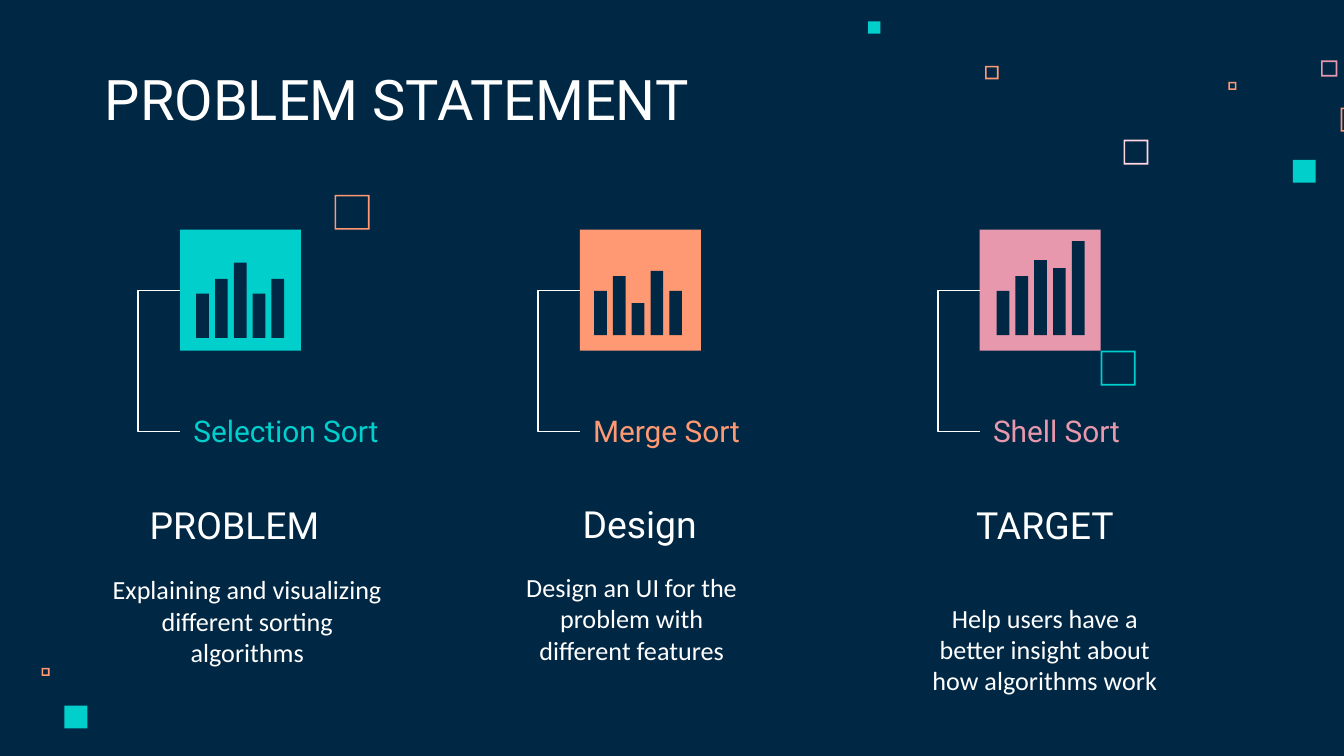
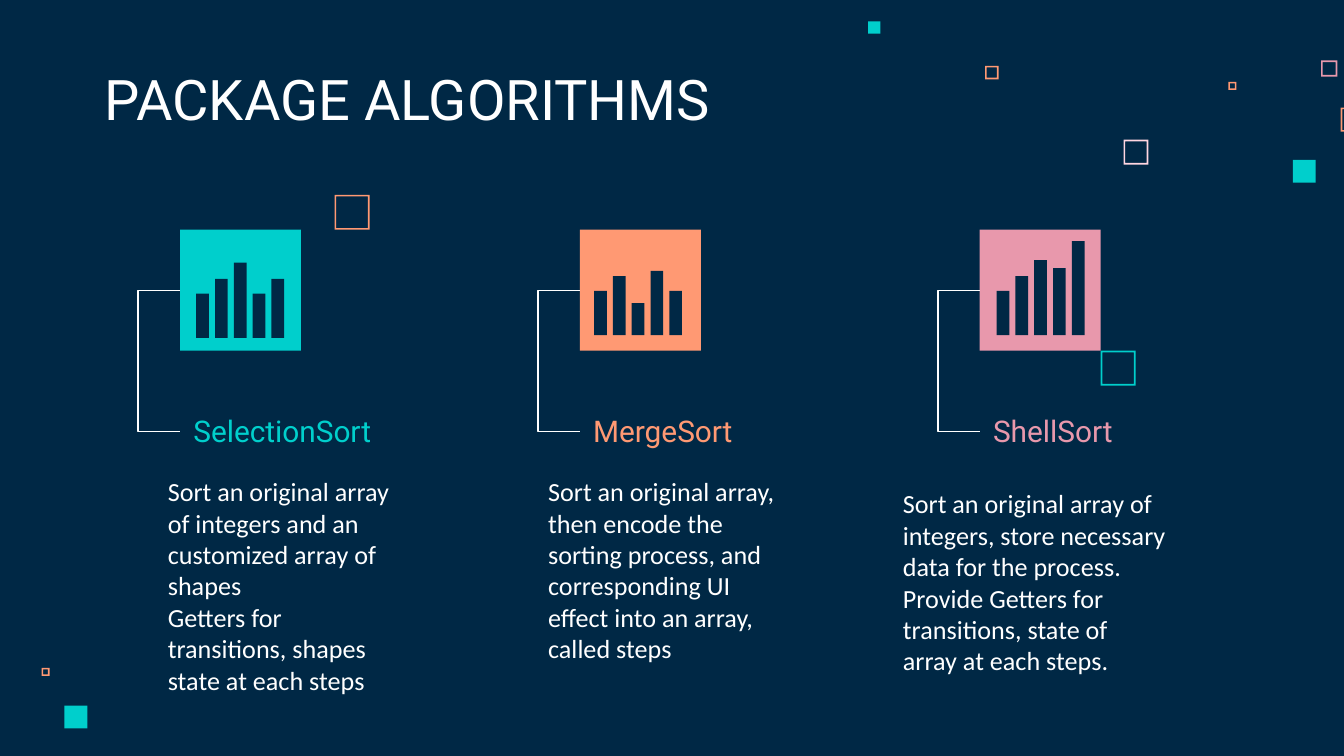
"""Two dark slides that compare three sorting algorithms in columns."""
from lxml import etree
from pptx import Presentation
from pptx.dml.color import RGBColor
from pptx.enum.shapes import MSO_CONNECTOR as CONN, MSO_SHAPE as SHAPE
from pptx.enum.text import MSO_ANCHOR as ANCHOR, MSO_AUTO_SIZE as AUTO, PP_ALIGN as ALIGN
from pptx.oxml.ns import qn
from pptx.util import Emu, Inches, Pt

COLORS = {
    "navy": "002845", "white": "FFFFFF", "teal": "00CFCC",
    "orange": "FF9973", "pink": "E898AC", "blush": "FFD6E1",
}
COLS, ROWS = 100, 56.25
CELL = Inches(10) / COLS
CARD_LEFT, CARD_PITCH, CARD_TOP, CARD_SIZE = 13.4, 29.75, 17.1, 9
BAR_PITCH, BAR_WIDTH = 1.4, 0.95
ELBOW_WIDTH, ELBOW_REACH = 600, 2.6

ICONS = [
    ("teal", 1.2, 8.05, (3.3, 4.4, 5.6, 3.3, 4.4)),
    ("orange", 1.05, 7.85, (3.3, 4.4, 2.4, 4.8, 3.3)),
    ("pink", 1.25, 7.85, (3.3, 4.4, 5.6, 5, 7)),
]
FRAMES = [
    (83.6, 10.4, 1.85, "blush"), (98.3, 4.5, 1.2, "pink"),
    (91.4, 6.1, 0.6, "orange"), (99.75, 8, 1.8, "orange"),
    (73.3, 4.9, 1, "orange"), (3.1, 49.7, 0.6, "orange"),
    (24.9, 14.5, 2.6, "orange"), (81.9, 26.1, 2.6, "teal"),
]
SOLIDS = [(96.2, 11.9, 1.7), (64.6, 1.6, 0.9), (4.8, 52.5, 1.7)]


def cells(*values):
    """Turn grid cells into slide lengths."""
    return [Emu(round(v * CELL)) for v in values]


def rgb(name):
    """Look up a named colour."""
    return RGBColor.from_string(COLORS[name])


def rect(s, box, color):
    """Draw a plain filled rectangle."""
    sp = s.shapes.add_shape(SHAPE.RECTANGLE, *cells(*box))
    sp.shadow.inherit = False
    sp.fill.solid()
    sp.fill.fore_color.rgb = rgb(color)
    sp.line.fill.background()


def frame(s, x, y, size, color):
    """Draw a thin hollow square."""
    def corners(inset):
        near, far = inset, size - inset
        return [cells(x + dx, y + dy)
                for dx, dy in ((near, near), (near, far), (far, far), (far, near))]

    outer, inner = corners(0), corners(0.12)[::-1]
    fb = s.shapes.build_freeform(*outer[0])
    fb.add_line_segments(outer[1:], close=True)
    fb.move_to(*inner[0])
    fb.add_line_segments(inner[1:], close=True)
    sp = fb.convert_to_shape()
    sp.shadow.inherit = False
    sp.fill.solid()
    sp.fill.fore_color.rgb = rgb(color)
    sp.line.fill.background()


def write(sp, text, size, color="white", font="Roboto", align=ALIGN.LEFT, anchor=ANCHOR.BOTTOM):
    """Fill a text shape and format all of its runs."""
    tf = sp.text_frame
    tf.text = text
    tf.word_wrap = True
    tf.auto_size = AUTO.NONE
    tf.vertical_anchor = anchor
    tf.margin_left = tf.margin_right = tf.margin_top = tf.margin_bottom = Inches(0.1)
    for p in tf.paragraphs:
        p.alignment = align
        for r in p.runs:
            r.font.name = font
            r.font.size = Pt(size)
            r.font.color.rgb = rgb(color)


def text(s, box, *args, **style):
    """Add a text box in grid cells."""
    write(s.shapes.add_textbox(*cells(*box)), *args, **style)


def elbow(s, x, y, height):
    """Draw a bracket that reaches left of x and returns to it."""
    left, top, bottom = cells(x, y, y + height)
    cn = s.shapes.add_connector(CONN.ELBOW, left, top, left + ELBOW_WIDTH, bottom)
    cn.line.color.rgb = rgb("white")
    cn.line.width = Pt(0.75)
    reach = round(ELBOW_REACH * CELL / ELBOW_WIDTH * 100000)
    av = cn.element.spPr.find(qn("a:prstGeom")).find(qn("a:avLst"))
    etree.SubElement(av, qn("a:gd"), name="adj1", fmla=f"val {-reach}")
    etree.SubElement(cn.element.spPr, qn("a:effectLst"))


def card(s, x, y, name, icon):
    """Draw one algorithm: its bar icon, bracket and name."""
    color, inset, base, heights = icon
    rect(s, (x, y, CARD_SIZE, CARD_SIZE), color)
    elbow(s, x, y + CARD_SIZE / 2, 10.5)
    for i, h in enumerate(heights):
        rect(s, (x + inset + i * BAR_PITCH, y + base - h, BAR_WIDTH, h), "navy")
    text(s, (x, y + 11.8, 19.2, 6.3), name, 16, color, anchor=ANCHOR.MIDDLE)


def algorithm_slide(prs, title, names):
    """Add a slide with title, scattered squares and three cards."""
    s = prs.slides.add_slide(prs.slide_layouts[5])
    sp = s.shapes.title
    sp.left, sp.top, sp.width, sp.height = cells(6.8, 4.5, 50, 6.3)
    write(sp, title, 30)
    for x, y, size in SOLIDS:
        rect(s, (x, y, size, size), "teal")
    for square in FRAMES:
        frame(s, *square)
    for i, (name, icon) in enumerate(zip(names, ICONS)):
        card(s, CARD_LEFT + i * CARD_PITCH, CARD_TOP, name, icon)
    return s


def problem_slide(prs):
    """Build the slide on problem, design and target."""
    s = algorithm_slide(prs, "PROBLEM STATEMENT", ("Selection Sort", "Merge Sort", "Shell Sort"))
    columns = [
        ("PROBLEM", (5.7, 35.4, 23.5, 6.3), (7.2, 41.7, 22.4, 6.3), ANCHOR.TOP,
         "Explaining and visualizing different sorting algorithms"),
        ("Design", (40, 35.3, 15.2, 6.3), (37.4, 41.5, 19.2, 6.3), ANCHOR.TOP,
         "Design an UI for the problem with different features"),
        ("TARGET", (66, 35.4, 23.5, 6.3), (67.6, 46.5, 20.3, 6.3), ANCHOR.BOTTOM,
         "Help users have a better insight about how algorithms work"),
    ]
    for heading, head_box, body_box, anchor, body in columns:
        text(s, head_box, heading, 20, align=ALIGN.CENTER)
        text(s, body_box, body, 14, font="Calibri", align=ALIGN.CENTER, anchor=anchor)


def package_slide(prs):
    """Build the slide on the classes of the package."""
    s = algorithm_slide(prs, "PACKAGE ALGORITHMS", ("SelectionSort", "MergeSort", "ShellSort"))
    columns = [
        ((11.5, 34.4, 19.2, 6.3),
         "Sort an original array of integers and an customized array of shapes\n"
         "Getters for transitions, shapes state at each steps"),
        ((39.8, 34.4, 19.2, 6.3),
         "Sort an original array, then encode the sorting process, and "
         "corresponding UI effect into an array, called steps"),
        ((66.2, 35.3, 21.6, 6.3),
         "Sort an original array of integers, store necessary data for the process. "
         "Provide Getters for transitions, state of array at each steps."),
    ]
    for box, body in columns:
        text(s, box, body, 14, font="Calibri", anchor=ANCHOR.TOP)


def main():
    """Build and save the presentation."""
    prs = Presentation()
    prs.slide_width, prs.slide_height = cells(COLS, ROWS)
    fill = prs.slide_master.background.fill
    fill.solid()
    fill.fore_color.rgb = rgb("navy")
    problem_slide(prs)
    package_slide(prs)
    prs.save("out.pptx")


if __name__ == "__main__":
    main()
